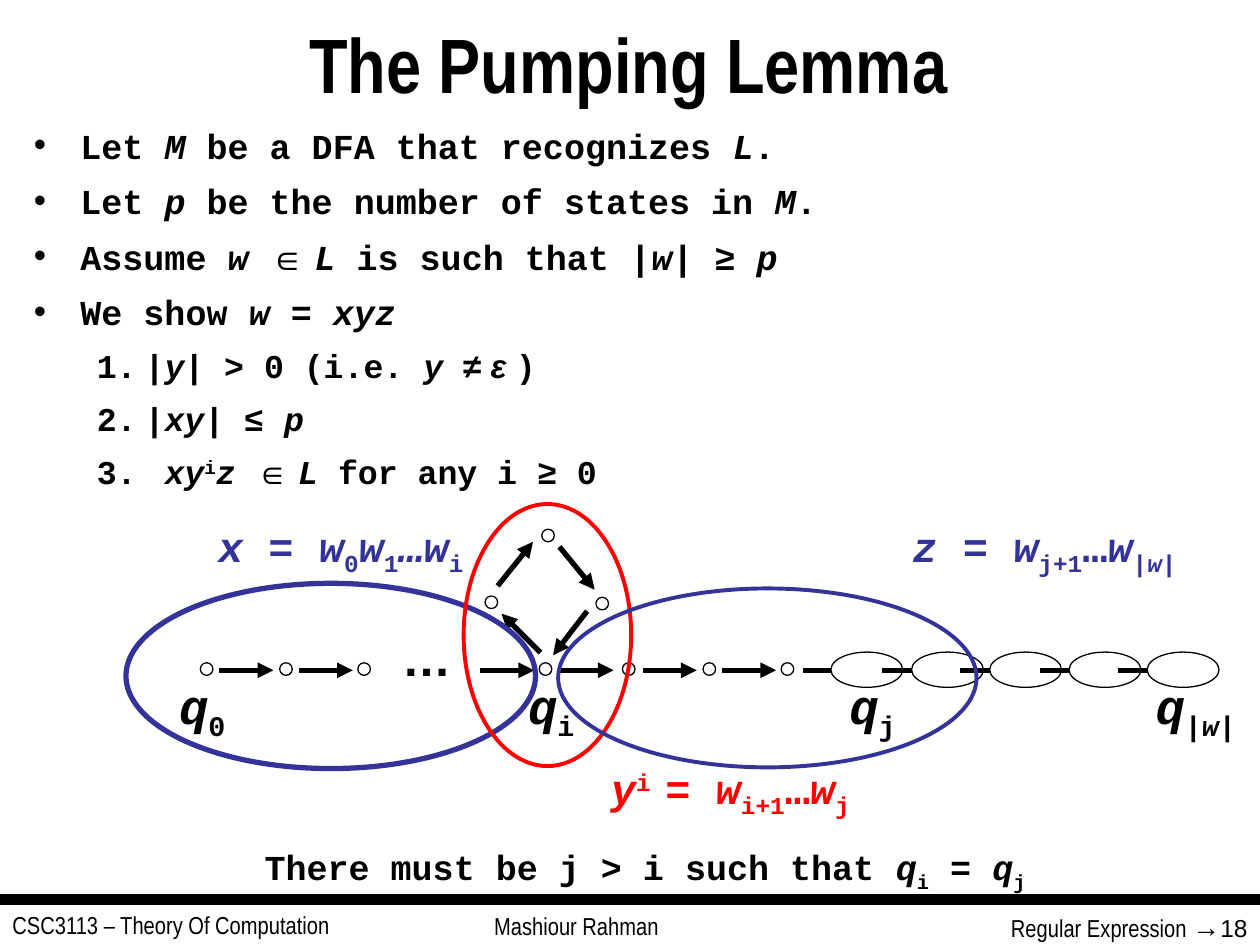
"""Builds the Pumping Lemma slide: statement, state path with its loop, and footer."""
from lxml import etree
from pptx import Presentation, util as u
from pptx.dml.color import RGBColor
from pptx.enum import shapes, text
from pptx.oxml.ns import qn

BLACK = RGBColor(0x00, 0x00, 0x00)
WHITE = RGBColor(0xFF, 0xFF, 0xFF)
BLUE = RGBColor(0x33, 0x33, 0x99)
RED = RGBColor(0xFF, 0x00, 0x00)
MONO, NARROW, SANS = "Courier New", "Arial Narrow", "Arial"
LEFT, CENTER, RIGHT = text.PP_ALIGN.LEFT, text.PP_ALIGN.CENTER, text.PP_ALIGN.RIGHT

presentation = Presentation()
presentation.slide_width, presentation.slide_height = u.Inches(10), u.Inches(7.5)
COLUMN = presentation.slide_width / 100
ROW = presentation.slide_height / 75
slide = presentation.slides.add_slide(presentation.slide_layouts[6])


def add_line(start_x, start_y, end_x, end_y, width, arrow=True):
    line = slide.shapes.add_connector(
        shapes.MSO_CONNECTOR.STRAIGHT, int(start_x * COLUMN), int(start_y * ROW),
        int(end_x * COLUMN), int(end_y * ROW))
    line.line.color.rgb = BLACK
    line.line.width = u.Pt(width)
    if arrow:
        etree.SubElement(line.line._get_or_add_ln(), qn("a:tailEnd"), type="triangle")
    etree.SubElement(line._element.spPr, qn("a:effectLst"))


def add_runs(paragraph, runs, size, font, color, bold):
    for words, style in runs:
        run = paragraph.add_run()
        run.text = words
        run.font.size = u.Pt(size)
        run.font.name = SANS if "a" in style else font
        run.font.color.rgb = color
        run.font.bold = bold
        run.font.italic = "i" in style
        if "_" in style or "^" in style:
            run._r.get_or_add_rPr().set("baseline", "30000" if "^" in style else "-25000")


add_line(0, 71.4, 100, 71.4, 6, arrow=False)

AXIS = 53.2
path = [(15.9, 17.4), (22.2, 23.7), (28.4, 38.1), (42.8, 44.4), (49.4, 51), (55.8, 57.3), (62, 63.7)]
chain = [(67.4, 70), (73.8, 76.2), (80, 82.5), (86.3, 88.7), (92.5, None)]
loop = [
    (38.5, 47.3, (39.5, 46.5, 42.3, 43)),
    (43, 42, (44.4, 43.4, 47.2, 46.8)),
    (47.3, 47.4, (46.6, 48.5, 43.9, 52)),
]
ellipses = [((left, 52.6, 1, 1), BLACK, 0.75, (tail, AXIS, tail + 4.3, AXIS))
            for left, tail in path]
ellipses += [((left, top, 1, 1), BLACK, 0.75, arrow) for left, top, arrow in loop]
ellipses += [((left, 50.3, 2.8, 5.7), BLACK, 0.75, tail and (tail, AXIS, tail + 4.3, AXIS))
             for left, tail in chain]
ellipses += [
    ((10, 46.3, 32.5, 14.7), BLUE, 3, None),
    ((36.8, 40, 13.3, 20.8), RED, 2.25, None),
    ((44.3, 46.7, 33.2, 14.2), BLUE, 2.25, None),
]
add_line(42.9, 51.8, 39.8, 48.7, 3)
for (left, top, width, height), color, weight, arrow in ellipses:
    ellipse = slide.shapes.add_shape(
        shapes.MSO_SHAPE.OVAL, int(left * COLUMN), int(top * ROW),
        int(width * COLUMN), int(height * ROW))
    ellipse.shadow.inherit = False
    ellipse.line.color.rgb = color
    ellipse.line.width = u.Pt(weight)
    if color == BLACK:
        ellipse.rotation = 270
        ellipse.fill.solid()
        ellipse.fill.fore_color.rgb = WHITE
    else:
        ellipse.fill.background()
    if arrow:
        add_line(*arrow, 3)

labels = [
    ((1, 0.8, 97.8, 8.3), CENTER, 44, NARROW, BLACK, True, [("The Pumping Lemma", "")]),
    ((0, 71.7, 27.5, 2.5), LEFT, 14, NARROW, BLACK, False,
     [("CSC3113 – Theory Of Computation", "")]),
    ((35.8, 71.8, 19.9, 2.6), CENTER, 14, NARROW, BLACK, False, [("Mashiour Rahman", "")]),
    ((13.2, 53.1, 5.7, 6.3), CENTER, 28, MONO, BLACK, True, [("q", "i"), ("0", "_")]),
    ((40.9, 53.1, 5.7, 6.3), CENTER, 28, MONO, BLACK, True, [("q", "i"), ("i", "_")]),
    ((66.4, 53.1, 5.7, 6.3), CENTER, 28, MONO, BLACK, True, [("q", "i"), ("j", "_")]),
    ((90.7, 53.1, 8.4, 6.3), CENTER, 28, MONO, BLACK, True,
     [("q", "i"), ("|", "_"), ("w", "i_"), ("|", "_")]),
    ((30.9, 49.3, 5.9, 5.7), CENTER, 28, SANS, BLACK, True, [("…", "")]),
    ((20, 66.6, 62.4, 4.8), CENTER, 20, MONO, BLACK, True,
     [("There must be j > i such that ", ""), ("q", "i"), ("i", "_"), (" = ", ""),
      ("q", "i"), ("j", "_")]),
    ((13.3, 40.8, 27.5, 5.6), CENTER, 24, MONO, BLUE, True,
     [("x ", "i"), ("= ", ""), ("w", "i"), ("0", "_"), ("w", "i"), ("1", "_"),
      ("…w", "i"), ("i", "_")]),
    ((47.5, 60, 25.8, 5.6), LEFT, 24, MONO, RED, True,
     [("y", "i"), ("i ", "^"), ("= ", ""), ("w", "i"), ("i+1", "_"), ("…", ""),
      ("w", "i"), ("j", "_")]),
    ((70, 40.8, 25.8, 5.6), CENTER, 24, MONO, BLUE, True,
     [("z", "i"), (" = ", ""), ("w", "i"), ("j+1", "_"), ("…", ""), ("w", "i"),
      ("|", "_"), ("w", "i_"), ("|", "_")]),
]
for (left, top, width, height), align, size, font, color, bold, runs in labels:
    box = slide.shapes.add_textbox(
        int(left * COLUMN), int(top * ROW), int(width * COLUMN), int(height * ROW))
    box.text_frame.word_wrap = size != 28
    if size == 44:
        box.text_frame.vertical_anchor = text.MSO_ANCHOR.MIDDLE
    paragraph = box.text_frame.paragraphs[0]
    paragraph.alignment = align
    add_runs(paragraph, runs, size, font, color, bold)

page = slide.shapes.add_textbox(
    int(62.5 * COLUMN), int(71.7 * ROW), int(37.5 * COLUMN), int(2.5 * ROW))
page.text_frame.word_wrap = True
paragraph = page.text_frame.paragraphs[0]
paragraph.alignment = RIGHT
for words, size, font in [(" ", 16, SANS), ("Regular Expression ", 14, NARROW),
                          ("→", 16, SANS), ("18", 14, SANS)]:
    add_runs(paragraph, [(words, "")], size, font, BLACK, False)

statements = [
    (0, [("Let ", ""), ("M", "i"), (" be a DFA that recognizes ", ""), ("L", "i"), (".", "")]),
    (0, [("Let ", ""), ("p", "i"), (" be the number of states in ", ""), ("M", "i"), (".", "")]),
    (0, [("Assume ", ""), ("w ", "i"), ("∈ ", "a"), ("L", "i"), (" is such that |", ""),
         ("w", "i"), ("| ≥ ", ""), ("p", "i")]),
    (0, [("We show ", ""), ("w", "i"), (" = ", ""), ("xyz", "i")]),
    (1, [("|", ""), ("y", "i"), ("| > 0 (i.e. ", ""), ("y ", "i"), ("≠ ", "a"),
         ("ε ", "ai"), (")", "")]),
    (1, [("|", ""), ("xy", "i"), ("| ≤ ", ""), ("p", "i")]),
    (1, [(" ", ""), ("xy", "i"), ("i", "^"), ("z ", "i"), ("∈ ", "a"), ("L", "i"),
         (" for any i ≥ 0", "")]),
]
body = slide.shapes.add_textbox(
    int(1.7 * COLUMN), int(10 * ROW), int(96.7 * COLUMN), int(31.7 * ROW)).text_frame
body.word_wrap = True
for index, (level, runs) in enumerate(statements):
    paragraph = body.add_paragraph() if index else body.paragraphs[0]
    paragraph.level = level
    paragraph.line_spacing = 0.8
    paragraph.space_before = u.Pt(11.9 if level else 12.5)
    properties = paragraph._p.get_or_add_pPr()
    margin, indent = (8.8, -3.8) if level else (3.7, -3.7)
    properties.set("marL", str(int(margin * COLUMN)))
    properties.set("indent", str(int(indent * COLUMN)))
    etree.SubElement(properties, qn("a:buFont"), typeface=MONO if level else SANS)
    if level:
        etree.SubElement(properties, qn("a:buAutoNum"), type="arabicPeriod")
    else:
        etree.SubElement(properties, qn("a:buChar"), char="•")
    add_runs(paragraph, runs, 19 if level else 20, MONO, BLACK, True)

presentation.save("out.pptx")
